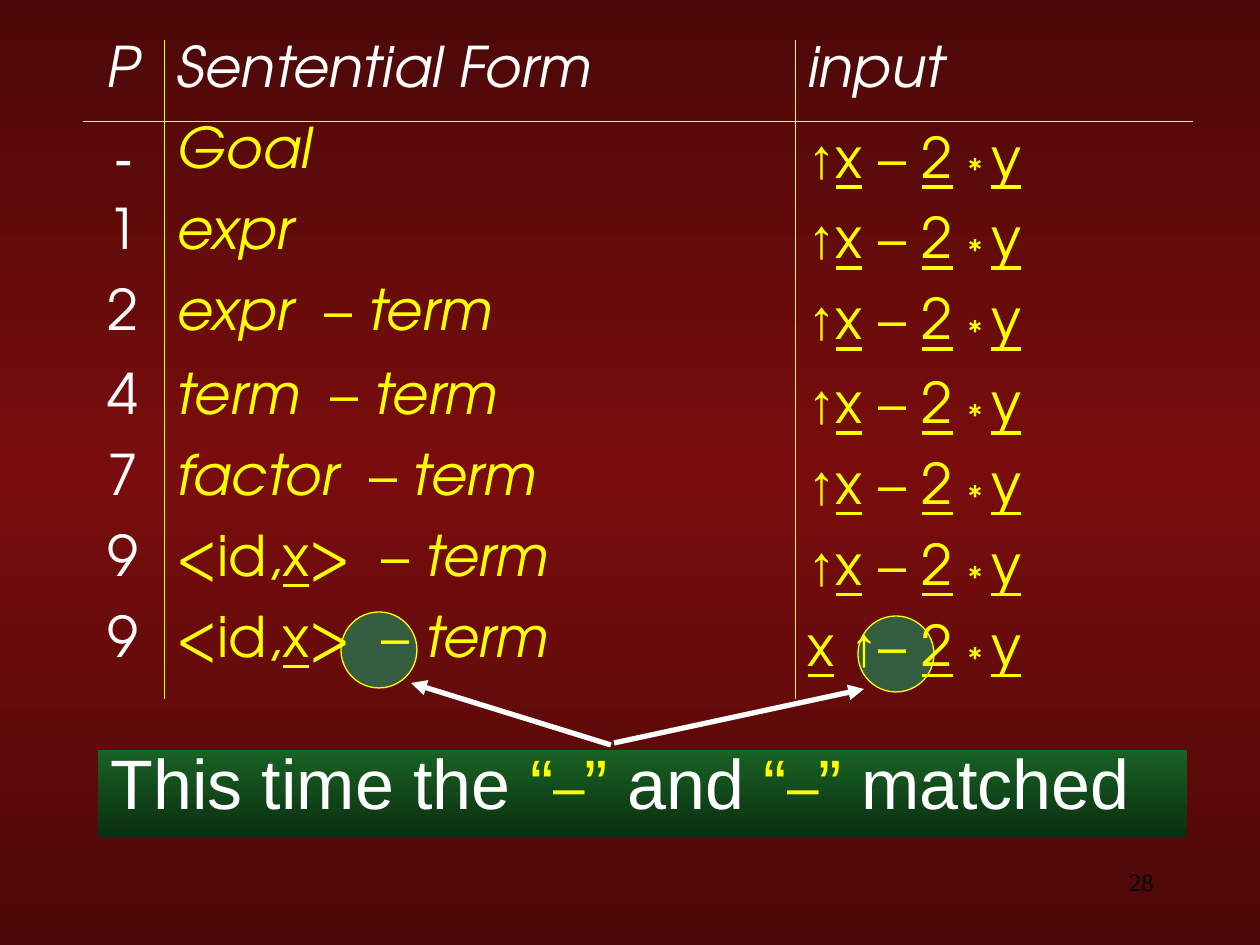
from dataclasses import dataclass, replace
from typing import Optional

from lxml.etree import SubElement
from pptx import Presentation
from pptx.dml.color import RGBColor
from pptx.enum.shapes import MSO_CONNECTOR, MSO_SHAPE
from pptx.enum.text import MSO_ANCHOR, PP_ALIGN
from pptx.oxml.ns import qn
from pptx.util import Inches, Pt

PX = Inches(1) / 126
YELLOW, WHITE, BLACK = "FFFF00", "FFFFFF", "000000"
CIRCLE_GREEN = "345E3F"
BODY, ARIAL, SERIF = "TeX Gyre Adventor", "Arial", "Times New Roman"


@dataclass(frozen=True)
class Span:
    text: str
    color: str = YELLOW
    font: str = BODY
    size: int = 32
    bold: bool = False
    italic: bool = False
    underline: bool = False
    baseline: int = 0


@dataclass(frozen=True)
class Step:
    """One derivation step: production, sentential form, input."""
    production: Span
    form: list[Span]
    source: list[Span]
    height: int = 81


@dataclass(frozen=True)
class Circle:
    left: int
    top: int
    size: int = 76


@dataclass(frozen=True)
class Arrow:
    start: tuple[int, int]
    end: tuple[int, int]


def px(value: int) -> int:
    return round(value * PX)


def rgb(value: str) -> RGBColor:
    return RGBColor.from_string(value)


def white(text: str, font: str = BODY) -> Span:
    return Span(text, WHITE, font)


def italic(text: str) -> Span:
    return Span(text, italic=True)


def underlined(text: str) -> Span:
    return Span(text, underline=True)


def header(text: str) -> Span:
    return Span(text, WHITE, italic=True)


MARKER = Span("↑", font=ARIAL, bold=True)
INPUT_END = [underlined("2"), Span(" "), Span("* ", baseline=-8000), underlined("y")]
UNREAD = [MARKER, underlined("x"), Span(" – "), *INPUT_END]
MINUS_READ = [underlined("x"), Span(" "), MARKER, Span("– "), *INPUT_END]
MINUS_TERM = [Span("– "), italic("term")]
ID_MINUS_TERM = [Span("<id,"), underlined("x"), Span(">  –"), italic(" term")]

STEPS = [
    Step(header("P"), [header("Sentential Form")], [header("input")]),
    Step(white("-", ARIAL), [italic("Goal")], UNREAD),
    Step(white("1"), [italic("expr")], UNREAD),
    Step(white("2"), [italic("expr  "), *MINUS_TERM], UNREAD, 84),
    Step(white("4"), [italic("term  "), *MINUS_TERM], UNREAD),
    Step(white("7"), [italic("factor  "), Span("–"), italic(" term")], UNREAD),
    Step(white("9"), ID_MINUS_TERM, UNREAD),
    Step(white("9"), ID_MINUS_TERM, MINUS_READ, 89),
]
COLUMN_WIDTHS = [81, 631, 398]

CIRCLES = [Circle(858, 616), Circle(341, 612)]
ARROWS = [Arrow((611, 745), (411, 683)), Arrow((614, 743), (864, 689))]

QUOTE = Span(" “", font=ARIAL, size=40)
QUOTED_MINUS = [QUOTE, Span("–", size=36), replace(QUOTE, text="” ")]
BANNER = [
    replace(QUOTE, text="This time the", color=WHITE), *QUOTED_MINUS,
    replace(QUOTE, text="and", color=WHITE), *QUOTED_MINUS,
    replace(QUOTE, text="matched", color=WHITE),
]


def add_spans(para, spans: list[Span]) -> None:
    for span in spans:
        run = para.add_run()
        run.text = span.text
        font = run.font
        font.name, font.size = span.font, Pt(span.size)
        font.bold, font.italic, font.underline = span.bold, span.italic, span.underline
        font.color.rgb = rgb(span.color)
        if span.baseline:
            font._element.set("baseline", str(span.baseline))


def set_vertical_gradient(fill, owner, colors: list[str]) -> None:
    """Spread the colours evenly from top to bottom."""
    fill.gradient()
    fill.gradient_angle = 270
    stops = owner.find(".//" + qn("a:gsLst"))
    for stop in list(stops):
        stops.remove(stop)
    for index, color in enumerate(colors):
        position = 100000 * index // (len(colors) - 1)
        stop = SubElement(stops, qn("a:gs"), pos=str(position))
        SubElement(stop, qn("a:srgbClr"), val=color)


def set_border(cell, side: str, color: Optional[str]) -> None:
    line = SubElement(cell._tc.get_or_add_tcPr(), qn(f"a:ln{side}"), w=str(Pt(0.45)))
    if color is None:
        SubElement(line, qn("a:noFill"))
    else:
        SubElement(SubElement(line, qn("a:solidFill")), qn("a:srgbClr"), val=color)


def add_derivation(page) -> None:
    height = sum(step.height for step in STEPS)
    frame = page.shapes.add_table(len(STEPS), len(COLUMN_WIDTHS), px(83), px(40),
                                  px(sum(COLUMN_WIDTHS)), px(height))
    table = frame.table
    table.first_row = table.horz_banding = False
    for column, width in zip(table.columns, COLUMN_WIDTHS):
        column.width = px(width)
    for row, step in enumerate(STEPS):
        table.rows[row].height = px(step.height)
        for column, spans in enumerate([[step.production], step.form, step.source]):
            cell = table.cell(row, column)
            ruled = {"L": column > 0, "R": column < len(COLUMN_WIDTHS) - 1,
                     "T": row == 1, "B": row == 0}
            for side, shown in ruled.items():
                set_border(cell, side, YELLOW if shown else None)
            cell.fill.background()
            para = cell.text_frame.paragraphs[0]
            para.alignment = PP_ALIGN.LEFT if column else PP_ALIGN.CENTER
            add_spans(para, spans)


def add_circle(page, circle: Circle) -> None:
    shape = page.shapes.add_shape(MSO_SHAPE.OVAL, px(circle.left), px(circle.top),
                                  px(circle.size), px(circle.size))
    shape.shadow.inherit = False
    shape.fill.solid()
    shape.fill.fore_color.rgb = rgb(CIRCLE_GREEN)
    shape.line.color.rgb = rgb(YELLOW)
    shape.line.width = Pt(0.75)


def add_banner(page) -> None:
    box = page.shapes.add_shape(MSO_SHAPE.RECTANGLE, px(98), px(750), px(1089), px(88))
    box.shadow.inherit = False
    box.line.fill.background()
    set_vertical_gradient(box.fill, box._element, ["186224", "0B2D10"])
    box.text_frame.word_wrap = True
    box.text_frame.vertical_anchor = MSO_ANCHOR.TOP
    para = box.text_frame.paragraphs[0]
    para.alignment = PP_ALIGN.LEFT
    para.line_spacing = 0.8
    add_spans(para, BANNER)


def add_arrow(page, arrow: Arrow) -> None:
    line = page.shapes.add_connector(MSO_CONNECTOR.STRAIGHT,
                                     *map(px, arrow.start + arrow.end))
    line.line.color.rgb = rgb(WHITE)
    line.line.width = Pt(3)
    SubElement(line.line._get_or_add_ln(), qn("a:tailEnd"), type="triangle")
    SubElement(line._element.spPr, qn("a:effectLst"))


def add_page_number(page) -> None:
    box = page.shapes.add_textbox(px(903), px(861), px(263), px(44))
    box.text_frame.word_wrap = True
    para = box.text_frame.paragraphs[0]
    para.alignment = PP_ALIGN.RIGHT
    add_spans(para, [Span("28", BLACK, SERIF, 14)])


def main() -> None:
    deck = Presentation()
    deck.slide_width, deck.slide_height = px(1260), px(945)
    page = deck.slides.add_slide(deck.slide_layouts[6])
    set_vertical_gradient(page.background.fill, page._element,
                          ["4C0808", "790D0D", "4C0808"])
    for circle in CIRCLES:
        add_circle(page, circle)
    add_banner(page)
    add_derivation(page)
    for arrow in ARROWS:
        add_arrow(page, arrow)
    add_page_number(page)
    deck.save("out.pptx")


if __name__ == "__main__":
    main()
